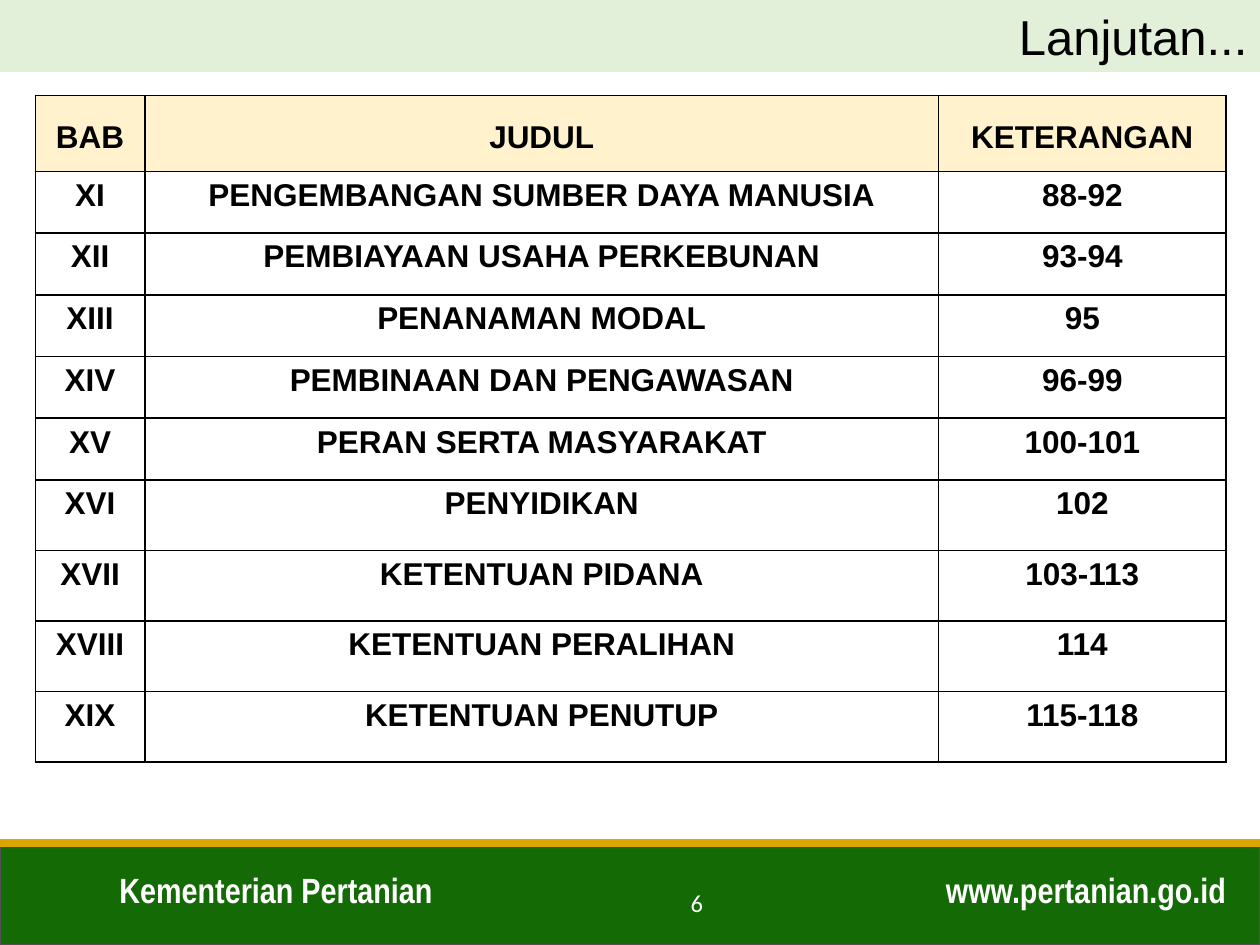
from lxml import etree
from pptx import Presentation
from pptx.dml.color import RGBColor
from pptx.enum import shapes, text
from pptx.oxml import ns
from pptx.util import Inches, Pt

# Content
TITLE = "Lanjutan..."
HEADER = ("BAB", "JUDUL", "KETERANGAN")
CHAPTERS = [
    ("XI", "PENGEMBANGAN SUMBER DAYA MANUSIA", "88-92"),
    ("XII", "PEMBIAYAAN USAHA PERKEBUNAN", "93-94"),
    ("XIII", "PENANAMAN MODAL", "95"),
    ("XIV", "PEMBINAAN DAN PENGAWASAN", "96-99"),
    ("XV", "PERAN SERTA MASYARAKAT", "100-101"),
    ("XVI", "PENYIDIKAN", "102"),
    ("XVII", "KETENTUAN PIDANA", "103-113"),
    ("XVIII", "KETENTUAN PERALIHAN", "114"),
    ("XIX", "KETENTUAN PENUTUP", "115-118"),
]
COLUMN_WIDTHS = (0.87, 6.3, 2.28)
ROW_HEIGHTS = [0.6] + [0.49] * 5 + [0.56] * 4

BLACK = RGBColor(0x00, 0x00, 0x00)
WHITE = RGBColor(0xFF, 0xFF, 0xFF)
GREEN = RGBColor(0x14, 0x6B, 0x05)
GOLD = RGBColor(0xDA, 0xA6, 0x00)
GREY = RGBColor(0x52, 0x52, 0x52)
PALE_GREEN = RGBColor(0xE2, 0xF0, 0xD9)
CREAM = RGBColor(0xFF, 0xF2, 0xCC)

LEFT, CENTER, RIGHT = text.PP_ALIGN.LEFT, text.PP_ALIGN.CENTER, text.PP_ALIGN.RIGHT

# Left, top, width, height, words, size, font, bold, alignment
FOOTER_TEXTS = [
    (0.85, 6.84, 3.66, 0.44, "Kementerian Pertanian", 20, "Arial Narrow", True, LEFT),
    (7.05, 6.84, 2.78, 0.44, "www.pertanian.go.id", 20, "Arial Narrow", True, RIGHT),
    (5.28, 6.95, 0.5, 0.43, "6", 14, "Calibri", False, CENTER),
]


def write(frame, words, size, font, color, bold, align):
    paragraph = frame.paragraphs[0]
    paragraph.alignment = align
    run = paragraph.add_run()
    run.text = words
    run.font.size = Pt(size)
    run.font.name = font
    run.font.bold = bold
    run.font.color.rgb = color
    return paragraph


def add_borders(cell):
    properties = cell._tc.get_or_add_tcPr()
    for position, side in enumerate(("lnL", "lnR", "lnT", "lnB")):
        border = etree.Element(ns.qn(f"a:{side}"), w=str(Pt(1)))
        fill = etree.SubElement(border, ns.qn("a:solidFill"))
        etree.SubElement(fill, ns.qn("a:srgbClr"), val=str(BLACK))
        properties.insert(position, border)


prs = Presentation()
prs.slide_width, prs.slide_height = Inches(10), Inches(7.5)
slide = prs.slides.add_slide(prs.slide_layouts[5])

# Footer band with gold rule
band = slide.shapes.add_shape(shapes.MSO_SHAPE.RECTANGLE, 0, Inches(6.69), Inches(10), Inches(0.81))
band.shadow.inherit = False
band.fill.solid()
band.fill.fore_color.rgb = GREEN
band.line.color.rgb = GREY
band.line.width = Pt(1)

rule = slide.shapes.add_connector(shapes.MSO_CONNECTOR.STRAIGHT, 0, Inches(6.69), Inches(10), Inches(6.69))
rule.line.color.rgb = GOLD
rule.line.width = Pt(4.5)
etree.SubElement(rule._element.spPr, ns.qn("a:effectLst"))

for left, top, width, height, words, size, font, bold, align in FOOTER_TEXTS:
    label = slide.shapes.add_textbox(Inches(left), Inches(top), Inches(width), Inches(height))
    label.text_frame.word_wrap = True
    if words == "6":
        label.text_frame.vertical_anchor = text.MSO_ANCHOR.MIDDLE
    write(label.text_frame, words, size, font, WHITE, bold, align)

# Chapter table
rows = [HEADER] + CHAPTERS
chapters = slide.shapes.add_table(
    len(rows), len(HEADER), Inches(0.28), Inches(0.76),
    Inches(sum(COLUMN_WIDTHS)), Inches(sum(ROW_HEIGHTS))).table
chapters.horz_banding = False
for column, width in zip(chapters.columns, COLUMN_WIDTHS):
    column.width = Inches(width)
for r, (row, height) in enumerate(zip(rows, ROW_HEIGHTS)):
    chapters.rows[r].height = Inches(height)
    for c, words in enumerate(row):
        cell = chapters.cell(r, c)
        paragraph = write(cell.text_frame, words, 18, "Arial", BLACK, True, CENTER)
        if r == 0:
            paragraph.line_spacing = 1.5
            paragraph.space_after = Pt(6)
            cell.fill.solid()
            cell.fill.fore_color.rgb = CREAM
        else:
            cell.fill.background()
        add_borders(cell)

# Title band
title = slide.shapes.title
title.left, title.top, title.width, title.height = 0, 0, Inches(10), Inches(0.57)
title.fill.solid()
title.fill.fore_color.rgb = PALE_GREEN
title.text_frame.vertical_anchor = text.MSO_ANCHOR.MIDDLE
write(title.text_frame, TITLE, 28, "Arial", BLACK, False, RIGHT)

prs.save("out.pptx")
